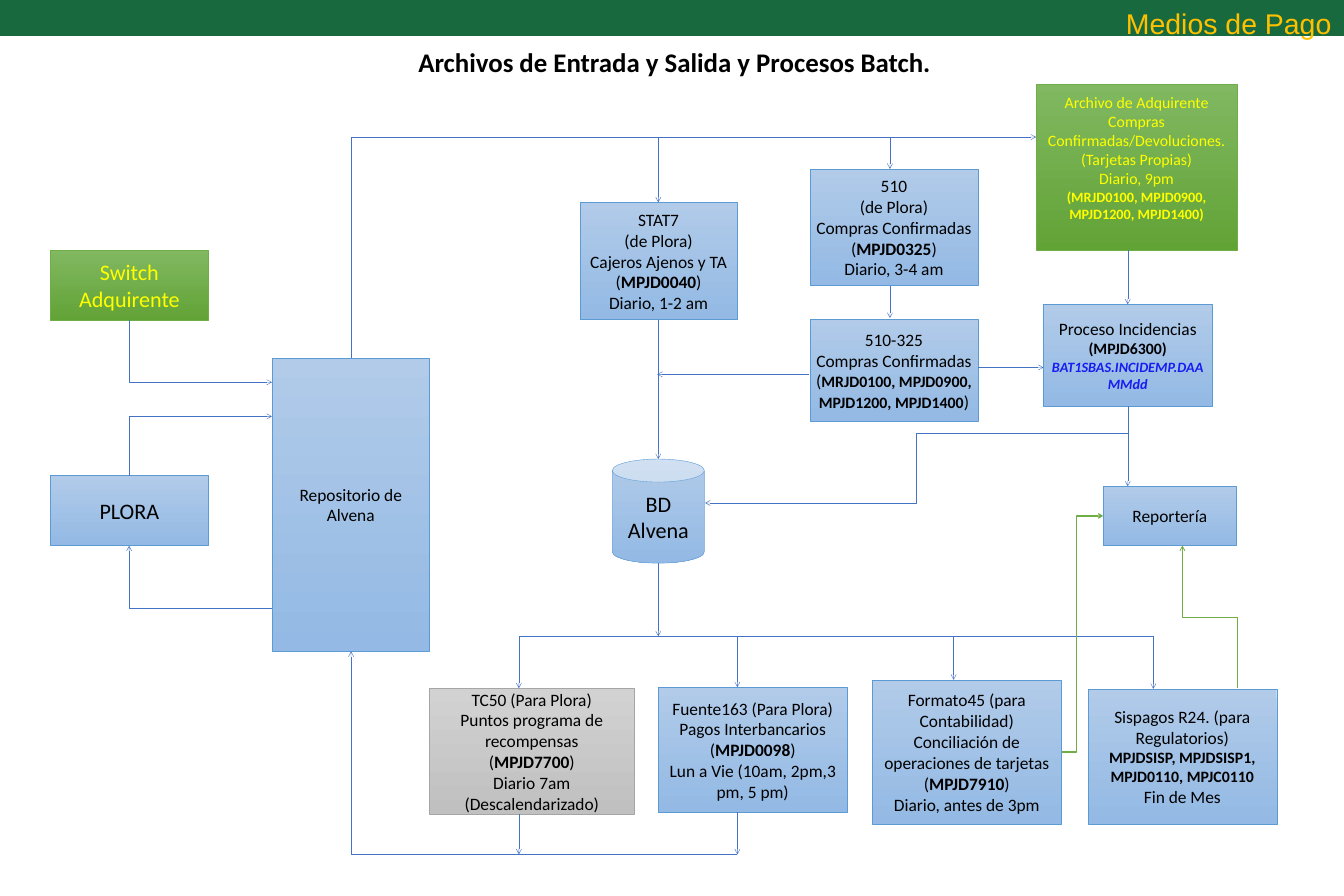
from pptx import Presentation
from pptx.dml.color import RGBColor as Rgb
from pptx.enum.shapes import MSO_CONNECTOR as Conn, MSO_SHAPE as Geo
from pptx.enum.text import MSO_ANCHOR as Anchor, MSO_AUTO_SIZE as Fit, PP_ALIGN as Align
from pptx.oxml.ns import qn
from pptx.util import Pt
from lxml.etree import SubElement as Sub

SIZE = (1700.64, 1134)

THEME = {
    "fills": {  # top, bottom, outline
        "blue": ("B1CBE9", "93B9E4", "5B9BD5"),
        "gray": ("D2D2D2", "C0C0C0", "A5A5A5"),
        "green": ("81B861", "62A336", "70AD47"),
    },
    "band": "19693F",
    "flow": "4472C4",
    "report": "70AD47",
    "thin": 0.5,
    "text": {  # colour, font values
        "body": ("000000", {"size": Pt(22)}),
        "bold": ("000000", {"size": Pt(22), "bold": True}),
        "code": ("000000", {"size": Pt(20), "bold": True}),
        "file": ("171CF1", {"size": Pt(18), "bold": True, "italic": True}),
        "big": ("000000", {"size": Pt(28)}),
        "switch": ("FFFF00", {"size": Pt(28)}),
        "buyer": ("FFFF00", {"size": Pt(20)}),
        "jobs": ("FFFF00", {"size": Pt(18), "bold": True}),
        "title": ("000000", {"size": Pt(34), "bold": True}),
        "head": ("FFC000", {"size": Pt(36), "name": "Arial"}),
    },
}

TITLE = "Archivos de Entrada y Salida y Procesos Batch."
HEAD = "Medios de Pago"


def job(code, style="bold"):
    """Line with a job code in bold between plain brackets."""
    return [("(", "body"), (code, style), (")", "body")]


# left, top, width, height, fill, base style, lines
BOXES = [
    (543.6, 871.2, 258.5, 159.1, "gray", "body",
     ["TC50 (Para Plora)", "Puntos programa de recompensas", job("MPJD7700"),
      "Diario 7am\v(Descalendarizado)"]),
    (774.7, 581, 116.6, 131.8, "blue", "big", ["BD Alvena"]),
    (64, 602, 199.4, 88.6, "blue", "big", ["PLORA"]),
    (833, 869.8, 239, 158.4, "blue", "body",
     ["Fuente163 (Para Plora)", "Pagos Interbancarios", job("MPJD0098"),
      "Lun a Vie (10am, 2pm,3 pm, 5 pm)"]),
    (344.2, 452.9, 199.4, 371.5, "blue", "body", ["Repositorio de Alvena"]),
    (733.7, 256.3, 199.4, 148.3, "blue", "body",
     ["STAT7", "(de Plora)", "Cajeros Ajenos y TA", job("MPJD0040"), "Diario, 1-2 am"]),
    (1024.6, 213.8, 213.1, 147.6, "blue", "body",
     ["510", "(de Plora)", "Compras Confirmadas", job("MPJD0325"), "Diario, 3-4 am"]),
    (1024.6, 404.6, 213.1, 128.9, "blue", "body",
     ["510-325", "Compras Confirmadas",
      job("MRJD0100, MPJD0900, MPJD1200, MPJD1400", "code")]),
    (1320.5, 385.2, 213.1, 128.9, "blue", "body",
     ["Proceso Incidencias", [("(MPJD6300)", "code")],
      [("BAT1SBAS.INCIDEMP.DAAMMdd", "file")]]),
    (1396, 615.6, 168.5, 74.9, "blue", "body", ["Reportería"]),
    (1103.8, 860.4, 239, 182.9, "blue", "body",
     ["Formato45 (para Contabilidad)", "Conciliación de operaciones de tarjetas",
      job("MPJD7910"), "Diario, antes de 3pm"]),
    (64, 316.8, 199.4, 88.6, "green", "switch", ["Switch Adquirente"]),
    (1311.1, 106.6, 254.2, 210.2, "green", "buyer",
     ["Archivo de Adquirente", "Compras Confirmadas/Devoluciones. (Tarjetas Propias)",
      "Diario, 9pm", [("(MRJD0100, MPJD0900, MPJD1200, MPJD1400)", "jobs")]]),
    (1376.6, 871.9, 239, 171.4, "blue", "body",
     ["Sispagos R24. (para Regulatorios)", [("MPJDSISP, MPJDSISP1,", "code")],
      [("MPJD0110, MPJC0110", "code")], "Fin de Mes"]),
]
CAN, BUYER = 1, 12  # places in BOXES

# Lanes shared by several lines
TOP, BUS, LOW = 173.5, 805.3, 1081.4
PLORA, REPO, STAT, TC, FUENTE = 163.4, 444.2, 833, 656.6, 933.1
P510, INCID, FORM, SIS = 1126.1, 1427, 1206.7, 1459.4

# from x, from y, to x, to y
ARROWS = [
    (TC, BUS, TC, 871.2), (FUENTE, BUS, FUENTE, 869.8),
    (FORM, BUS, FORM, 860.4), (SIS, BUS, SIS, 871.9),
    (STAT, 712.8, STAT, BUS), (TC, 1030.3, TC, LOW), (FUENTE, 1028.2, FUENTE, LOW),
    (STAT, TOP, STAT, 256.3), (STAT, 404.6, STAT, 581),
    (P510, TOP, P510, 213.8), (P510, 361.4, P510, 402.5),
    (1237.7, 465.1, 1320.5, 465.1), (INCID, 514.1, INCID, 615.6),
    (INCID, 316.8, INCID, 385.2), (1023.1, 473.8, 831.6, 473.8),
]

# from, to, bends, turn in degrees, flips, place of the bend, arrow end, colour, width
FLOW = (THEME["flow"], THEME["thin"])
ELBOWS = [
    ((PLORA, 602), (344.2, 527), 2, 90, "hv", None, "tailEnd", *FLOW),
    ((PLORA, 690.6), (344.2, 769.7), 2, 270, "h", None, "headEnd", *FLOW),
    ((FUENTE, LOW), (REPO, 824.4), 2, 180, "", None, "tailEnd", *FLOW),
    ((REPO, 452.9), (1311.1, TOP), 2, 90, "hv", None, "tailEnd", *FLOW),
    ((INCID, 548.6), (892.1, 636.5), 3, 180, "v", 0.5, "tailEnd", *FLOW),
    ((PLORA, 405.4), (344.2, 483.8), 3, 0, "", 0.003, "tailEnd", *FLOW),
    ((1343.5, 951.8), (1396, 653), 3, 0, "v", 0.361, "tailEnd", THEME["report"], 1.5),
    ((1565.3, 871.2), (1496.2, 690.5), 3, 270, "v", 0.5, "tailEnd", THEME["report"], 1),
]


def write(frame, lines, base, align):
    """Fill a text frame; a line is a string in the base style or a list of runs."""
    for i, line in enumerate(lines):
        para = frame.paragraphs[0] if i == 0 else frame.add_paragraph()
        para.alignment = align
        for text, style in [(line, base)] if isinstance(line, str) else line:
            color, values = THEME["text"][style]
            for n, part in enumerate(text.split("\v")):
                if n:
                    para.add_line_break()
                run = para.add_run()
                run.text = part
                for key, value in {"name": "Calibri", "bold": False, **values}.items():
                    setattr(run.font, key, value)
                run.font.color.rgb = Rgb.from_string(color)


def setup(frame, **values):
    for key, value in {"word_wrap": True, "auto_size": Fit.NONE, **values}.items():
        setattr(frame, key, value)


def box(slide, geo, area, fill, base, lines, **frame):
    shape = slide.shapes.add_shape(geo, *map(Pt, area))
    shape.shadow.inherit = False
    top, bottom, edge = THEME["fills"][fill]
    shape.fill.gradient()
    shape.fill.gradient_angle = 270
    for stop, color in zip(shape.fill.gradient_stops, (top, bottom)):
        stop.color.rgb = Rgb.from_string(color)
    for stop, place in zip(shape.fill.gradient_stops, (0, 1)):
        stop.position = place
    shape.line.color.rgb = Rgb.from_string(edge)
    shape.line.width = Pt(THEME["thin"])
    setup(shape.text_frame, vertical_anchor=Anchor.MIDDLE, **frame)
    write(shape.text_frame, lines, base, Align.CENTER)


def link(slide, kind, ends, color, width, arrow):
    line = slide.shapes.add_connector(kind, *map(Pt, ends))
    line.line.color.rgb = Rgb.from_string(color)
    line.line.width = Pt(width)
    props = line._element.spPr
    if arrow:
        Sub(props.find(qn("a:ln")), qn("a:" + arrow)).set("type", "arrow")
    Sub(props, qn("a:effectLst"))
    return props


def elbow(slide, start, end, bends, turn, flips, place, arrow, color, width):
    """Bent connector: its box is laid out unturned around the middle, then turned."""
    (x1, y1), (x2, y2) = start, end
    wide, high = abs(x2 - x1), abs(y2 - y1)
    if turn % 180:
        wide, high = high, wide
    dx = wide / 2 * (-1 if "h" in flips else 1)
    dy = high / 2 * (-1 if "v" in flips else 1)
    mx, my = (x1 + x2) / 2, (y1 + y2) / 2
    props = link(slide, Conn.ELBOW, (mx - dx, my - dy, mx + dx, my + dy),
                 color, width, arrow)
    props.find(qn("a:xfrm")).set("rot", str(turn * 60000))
    geom = props.find(qn("a:prstGeom"))
    geom.set("prst", f"bentConnector{bends}")
    if place is not None:
        guide = Sub(geom.find(qn("a:avLst")), qn("a:gd"))
        guide.set("name", "adj1")
        guide.set("fmla", f"val {round(place * 100000)}")


def main():
    deck = Presentation()
    deck.slide_width, deck.slide_height = map(Pt, SIZE)
    slide = deck.slides.add_slide(deck.slide_layouts[5])

    title = slide.shapes.title
    for key, value in zip(("left", "top", "width", "height"), (363.6, 54.7, 979.9, 48.2)):
        setattr(title, key, Pt(value))
    setup(title.text_frame, vertical_anchor=Anchor.TOP)
    write(title.text_frame, [TITLE], "title", Align.CENTER)

    for i, (*area, fill, base, lines) in enumerate(BOXES):
        frame = {"margin_bottom": Pt(28)} if i == BUYER else {}
        box(slide, Geo.CAN if i == CAN else Geo.RECTANGLE, area, fill, base, lines, **frame)

    link(slide, Conn.STRAIGHT, (TC, BUS, SIS, BUS), *FLOW, None)
    for ends in ARROWS:
        link(slide, Conn.STRAIGHT, ends, *FLOW, "tailEnd")
    for route in ELBOWS:
        elbow(slide, *route)

    band = slide.shapes.add_shape(Geo.RECTANGLE, 0, Pt(-4.3), Pt(SIZE[0]), Pt(49.7))
    band.shadow.inherit = False
    band.fill.solid()
    band.fill.fore_color.rgb = Rgb.from_string(THEME["band"])
    band.line.fill.background()

    head = slide.shapes.add_textbox(Pt(1102.3), 0, Pt(598.3), Pt(59.8)).text_frame
    setup(head, margin_left=Pt(15.8), margin_right=Pt(15.8),
          margin_top=Pt(7.9), margin_bottom=Pt(7.9))
    write(head, [HEAD], "head", Align.RIGHT)

    deck.save("out.pptx")


if __name__ == "__main__":
    main()
